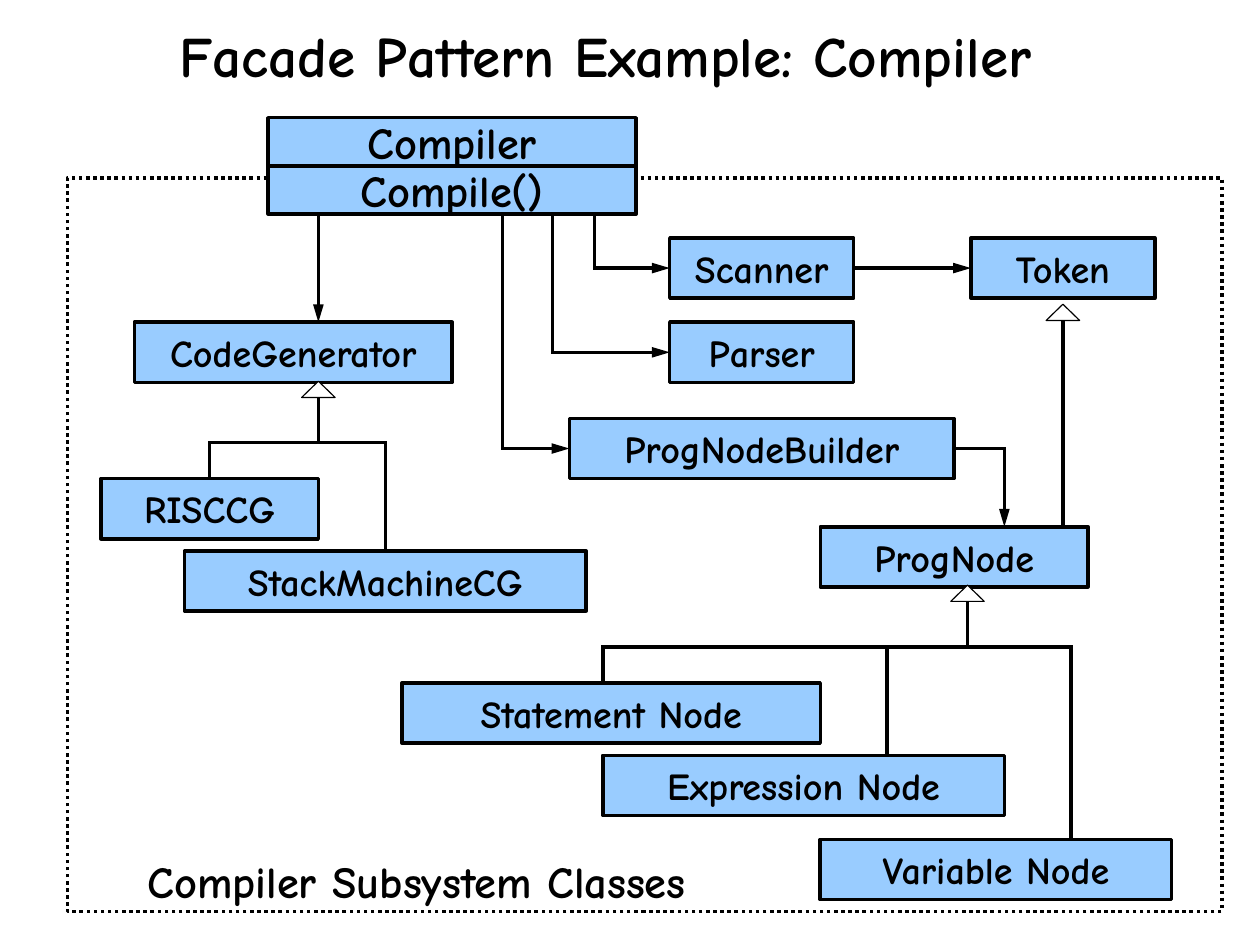
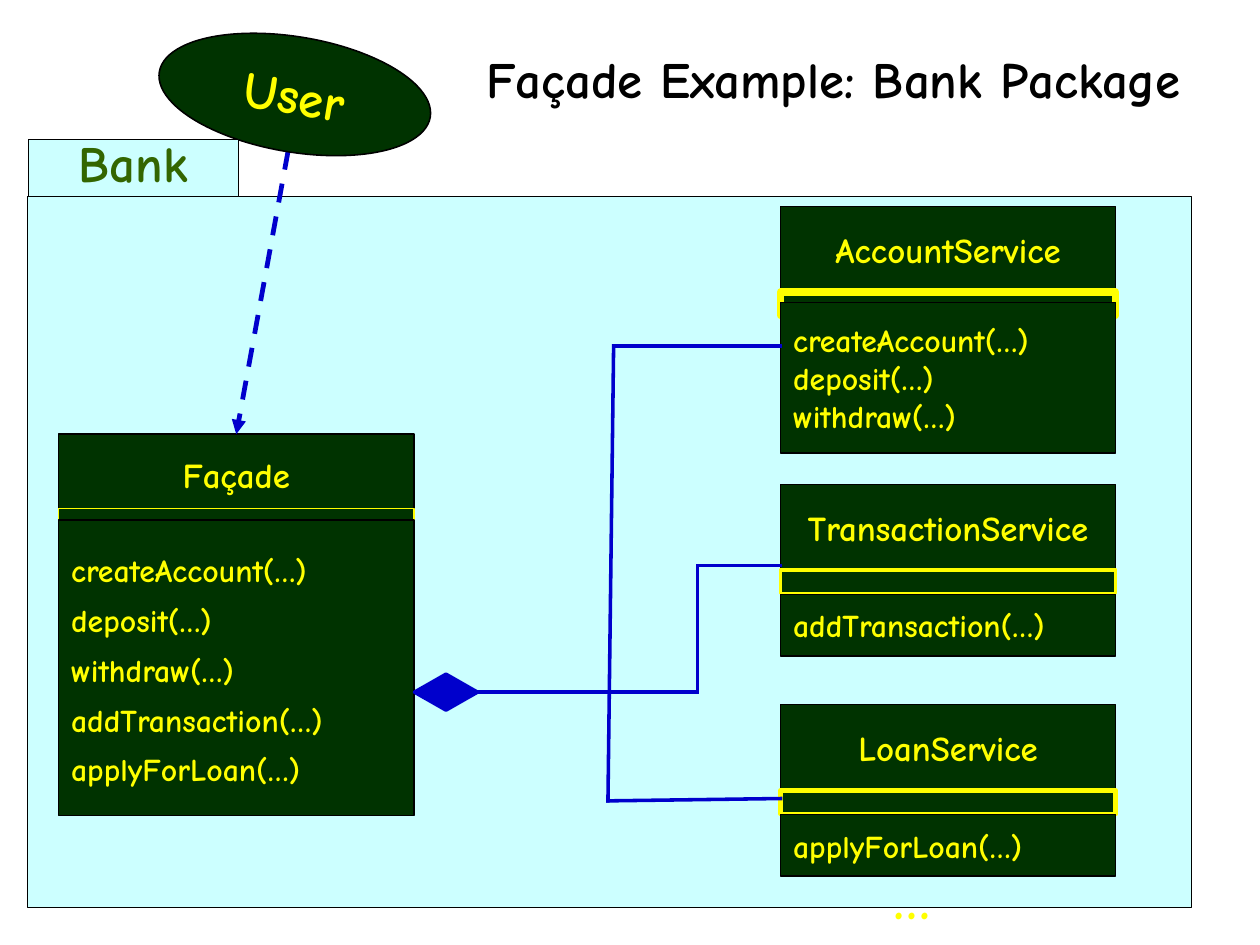
from collections import namedtuple
from dataclasses import dataclass
from itertools import pairwise

from pptx import Presentation
from pptx.dml.color import RGBColor
from pptx.enum.dml import MSO_LINE as Dash
from pptx.enum.shapes import MSO_CONNECTOR as Connector, MSO_SHAPE as Preset
from pptx.enum.text import MSO_ANCHOR as Anchor, PP_ALIGN as Align
from pptx.oxml.ns import qn
from pptx.util import Cm, Inches, Pt


@dataclass(frozen=True)
class Theme:
    font: str = "Comic Neue"
    black: str = "000000"
    white: str = "FFFFFF"
    sky: str = "99CCFF"
    pale: str = "CCFFFF"
    forest: str = "003300"
    leaf: str = "336600"
    yellow: str = "FFFF00"
    blue: str = "0000CC"
    title: int = 36
    more: int = 35
    large: int = 32
    label: int = 28
    class_name: int = 24
    service: int = 22
    method: int = 20
    stroke: float = 2.25
    hairline: float = 0.75


theme = Theme()
WIDTH, HEIGHT = Cm(28), Cm(21)
# A page is a slide with the grid its parts sit on, in inches.
Page = namedtuple("Page", "slide left top col row")


def box(page, cells, lines=(), size=theme.class_name, ink=theme.black, fill=None,
        edge=None, weight=theme.stroke, preset=Preset.RECTANGLE, align=Align.CENTER,
        spacing=1.0, gap=0, inset=0.11):
    """Place a shape by (column, row, columns, rows), with one paragraph per line."""
    col, row, cols, rows = cells
    shape = page.slide.shapes.add_shape(
        preset, Inches(page.left + col * page.col), Inches(page.top + row * page.row),
        Inches(cols * page.col), Inches(rows * page.row))
    shape.shadow.inherit = False
    for part, colour in ((shape.fill, fill), (shape.line.fill, edge)):
        if colour:
            part.solid()
            part.fore_color.rgb = RGBColor.from_string(colour)
        else:
            part.background()
    if edge:
        shape.line.width = Pt(weight)
    frame = shape.text_frame
    frame.word_wrap = align == Align.LEFT
    frame.vertical_anchor = Anchor.MIDDLE
    frame.margin_left = frame.margin_right = Inches(inset)
    frame.margin_top = frame.margin_bottom = Inches(inset / 2)
    for index, line in enumerate(lines):
        paragraph = frame.add_paragraph() if index else frame.paragraphs[0]
        paragraph.text = line
        paragraph.alignment = align
        paragraph.line_spacing = spacing
        paragraph.space_before = Pt(gap if index else 0)
        paragraph.font.name = theme.font
        paragraph.font.size = Pt(size)
        paragraph.font.bold = True
        paragraph.font.color.rgb = RGBColor.from_string(ink)
    return shape


def route(page, points, colour=theme.black, weight=theme.stroke, arrow=None,
          dash=None, start=None, end=None):
    """Draw straight connectors through the points.

    start and end are (shape, side); arrow is the length of the head, med or lg.
    """
    legs = []
    for (c1, r1), (c2, r2) in pairwise(points):
        leg = page.slide.shapes.add_connector(
            Connector.STRAIGHT,
            Inches(page.left + c1 * page.col), Inches(page.top + r1 * page.row),
            Inches(page.left + c2 * page.col), Inches(page.top + r2 * page.row))
        leg.line.color.rgb = RGBColor.from_string(colour)
        leg.line.width = Pt(weight)
        if dash:
            leg.line.dash_style = dash
        else:
            leg.line._get_or_add_ln().set("cap", "sq")
        properties = leg._element.spPr
        properties.append(properties.makeelement(qn("a:effectLst"), {}))
        legs.append(leg)
    if start:
        legs[0].begin_connect(*start)
    if end:
        legs[-1].end_connect(*end)
    if arrow:
        ln = legs[-1].line._get_or_add_ln()
        ln.append(ln.makeelement(
            qn("a:tailEnd"), {"type": "triangle", "w": "med", "len": arrow}))


deck = Presentation()
deck.slide_width, deck.slide_height = WIDTH, HEIGHT
blank = deck.slide_layouts[6]

# Titles, placed in hundredths of the slide
titles = [
    ("Facade Pattern Example: Compiler", theme.title, (5.4, 2.3, 85.3, 7.9)),
    ("Façade Example: Bank Package", theme.large, (32.67, 4.8, 67, 7.9)),
]
pages = []
for title, size, cells in titles:
    page = Page(deck.slides.add_slide(blank), 0, 0, WIDTH.inches / 100, HEIGHT.inches / 100)
    box(page, cells, [title], size, spacing=0.88, inset=0)
    pages.append(page)

# Compiler: the subsystem frame is 69 columns by 61 rows
compiler = Page(pages[0].slide, 0.59, 1.03, 10.1 / 69, 6.42 / 61)
frame = box(compiler, (0, 5, 69, 61), fill=theme.white, edge=theme.black)
frame.line.dash_style = Dash.ROUND_DOT
for row, name in ((0, "Compiler"), (4, "Compile()")):
    box(compiler, (12, row, 22, 4), [name], theme.label, fill=theme.sky, edge=theme.black)
box(compiler, (4, 60.7, 33.75, 5.5), ["Compiler Subsystem Classes"], theme.label)

CLASS_ROWS = 5
subsystem = {  # name: column, row, columns
    "Scanner": (36, 10, 11),
    "Parser": (36, 17, 11),
    "Token": (54, 10, 11),
    "ProgNode": (45, 34, 16),
    "ProgNodeBuilder": (30, 25, 23),
    "CodeGenerator": (4, 17, 19),
    "RISCCG": (2, 30, 13),
    "StackMachineCG": (7, 36, 24),
    "Statement Node": (20, 47, 25),
    "Expression Node": (32, 53, 24),
    "Variable Node": (45, 60, 21),
}
classes = {
    name: box(compiler, (col, row, cols, CLASS_ROWS), [name], fill=theme.sky, edge=theme.black)
    for name, (col, row, cols) in subsystem.items()
}

route(compiler, [(15, 8), (15, 17)], arrow="lg")
for exit_col, name in ((31.5, "Scanner"), (29, "Parser"), (26, "ProgNodeBuilder")):
    col, row, _ = subsystem[name]
    middle = row + CLASS_ROWS / 2
    route(compiler, [(exit_col, 8), (exit_col, middle), (col, middle)],
          arrow="lg", end=(classes[name], 1))
route(compiler, [(47, 12.5), (54, 12.5)], arrow="lg",
      start=(classes["Scanner"], 3), end=(classes["Token"], 1))
route(compiler, [(53, 27.5), (56, 27.5), (56, 34)], arrow="lg",
      start=(classes["ProgNodeBuilder"], 3))

# Inheritance: stem column, triangle row, rail row, {subclass: drop column}
TRIANGLE_ROWS = 1.35
inheritance = [
    (53.8, 38.85, 44, {"Statement Node": 32, "Expression Node": 49, "Variable Node": 60}),
    (59.5, 15.5, 34, {}),
    (15, 21.9, 27, {"RISCCG": 8.5, "StackMachineCG": 19}),
]
for stem, top, rail, subclasses in inheritance:
    route(compiler, [(stem, rail), (stem, top + TRIANGLE_ROWS)])
    for name, drop in subclasses.items():
        col, row, cols = subsystem[name]
        centred = drop == col + cols / 2
        route(compiler, [(stem, rail), (drop, rail), (drop, row)],
              end=(classes[name], 0) if centred else None)
    box(compiler, (stem - 1, top, 2, TRIANGLE_ROWS), fill=theme.white, edge=theme.black,
        weight=theme.hairline, preset=Preset.ISOSCELES_TRIANGLE)

# Bank: hundredths of the slide
bank = pages[1]
box(bank, (2.2, 20.8, 92.4, 75.2), fill=theme.pale, edge=theme.black, weight=theme.hairline)

# name, left, width, head top, head height, rule top, rule height, rule weight,
# body top, body height, line spacing, paragraph gap, methods
services = [
    ("Façade", 4.65, 28.2, 45.95, 8.6, 53.8, 1.2, 1, 55, 31.3, 1.1, 5,
     ["createAccount(…)", "deposit(…)", "withdraw(…)", "addTransaction(…)",
      "applyForLoan(…)"]),
    ("AccountService", 61.95, 26.6, 21.85, 9.1, 30.9, 2.5, 4.5, 32, 15.95, 1, 0,
     ["createAccount(…)", "deposit(…)", "withdraw(…)"]),
    ("TransactionService", 61.95, 26.6, 51.25, 9.1, 60.3, 2.5, 2.25, 62.9, 6.5, 1, 0,
     ["addTransaction(…)"]),
    ("LoanService", 61.95, 26.6, 74.55, 9.1, 83.65, 2.5, 3, 86.2, 6.5, 1, 0,
     ["applyForLoan(…)"]),
]
heads = {}
for (name, left, width, head_top, head_rows, rule_top, rule_rows, rule_weight,
     body_top, body_rows, spacing, gap, methods) in services:
    heads[name] = box(bank, (left, head_top, width, head_rows), [name], theme.service,
                      theme.yellow, theme.forest, theme.black, 1)
    box(bank, (left, rule_top, width, rule_rows), fill=theme.forest, edge=theme.yellow,
        weight=rule_weight)
    box(bank, (left, body_top, width, body_rows), methods, theme.method, theme.yellow,
        theme.forest, theme.black, 1, align=Align.LEFT, spacing=spacing, gap=gap)
box(bank, (69.9, 90.8, 5, 8.3), ["…"], theme.more, theme.yellow, align=Align.LEFT)

route(bank, [(22.87, 15.96), (18.75, 45.95)], theme.blue, 3, arrow="med", dash=Dash.DASH,
      end=(heads["Façade"], 0))
user = box(bank, (12.5, 3.9, 21.8, 12.2), ["User"], theme.large, theme.yellow,
           theme.forest, theme.black, 1, Preset.OVAL)
user.rotation = 9.5

ownership = box(bank, (32.9, 71.35, 5, 3.8), fill=theme.blue, edge=theme.blue,
                preset=Preset.DIAMOND)
route(bank, [(37.9, 73.25), (55.35, 73.25), (55.35, 59.85), (61.95, 59.85)], theme.blue,
      start=(ownership, 3))
route(bank, [(61.95, 36.6), (48.7, 36.6), (48.25, 84.75), (61.95, 84.5)], theme.blue)
box(bank, (2.25, 14.75, 16.7, 6.05), ["Bank"], theme.large, theme.leaf, theme.pale,
    theme.black, theme.hairline, spacing=0.8)

deck.save("out.pptx")
